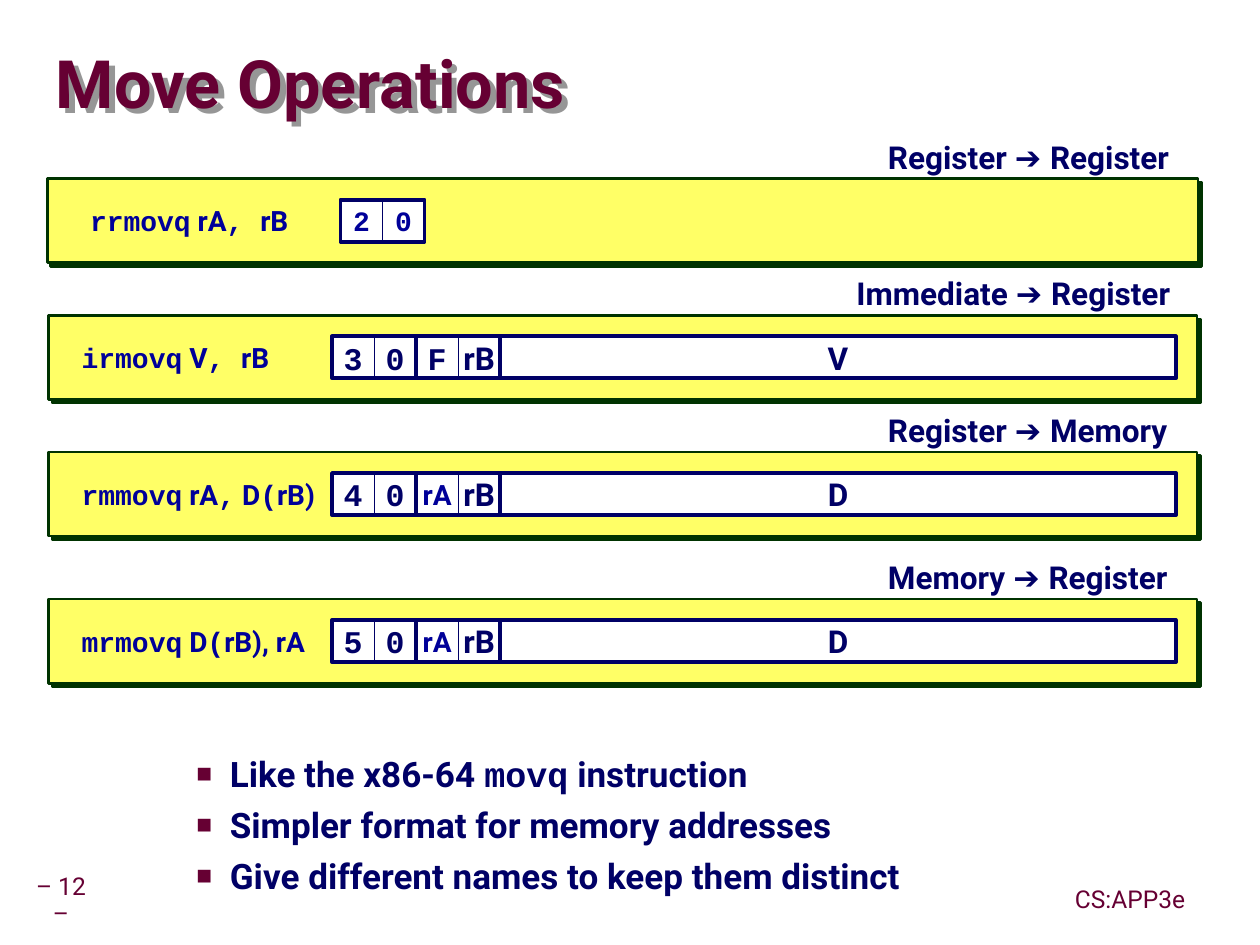
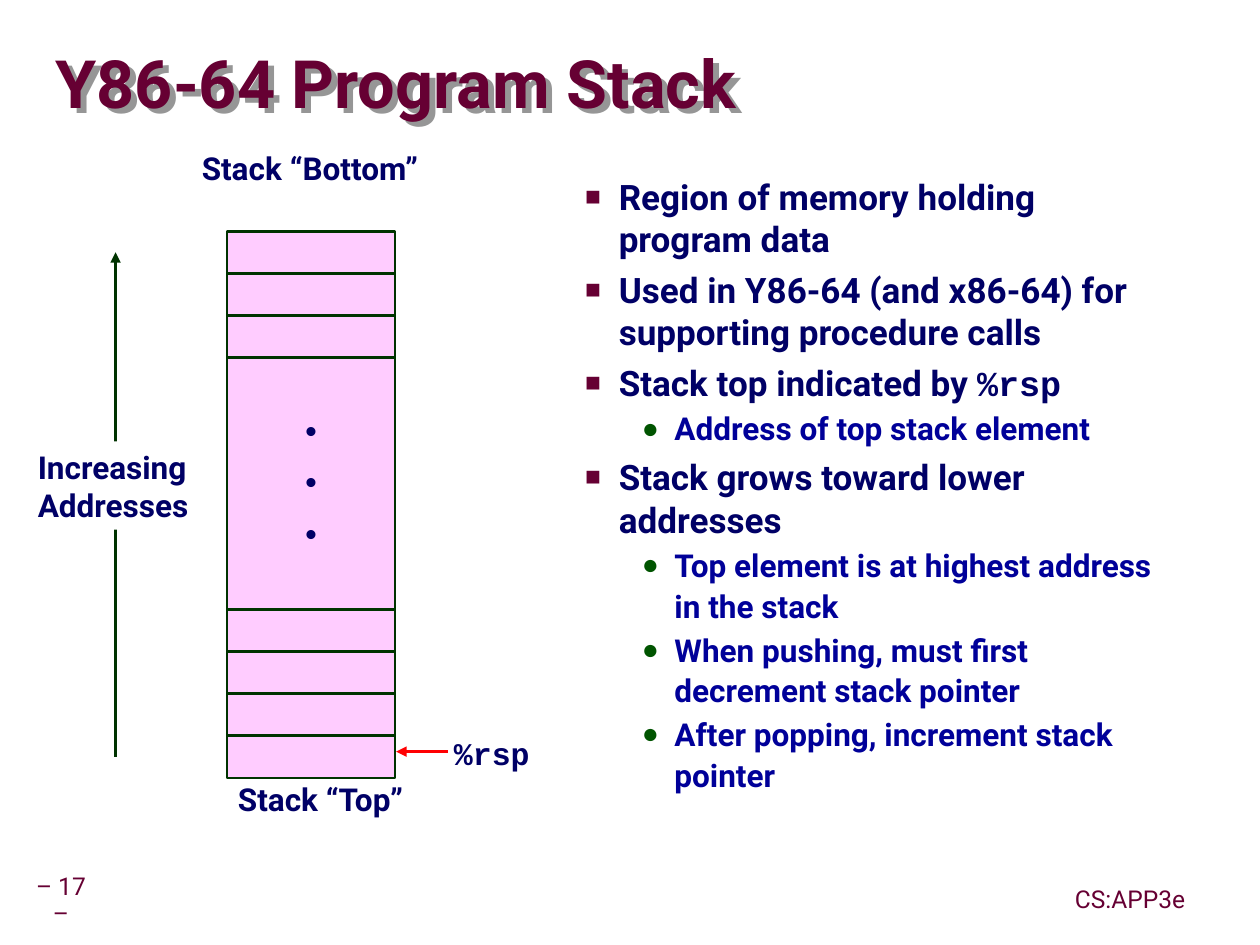
from dataclasses import dataclass

from lxml.etree import SubElement
from pptx import Presentation
from pptx.dml.color import RGBColor as RGB
from pptx.enum.shapes import MSO_CONNECTOR as CONNECTOR, MSO_SHAPE as SHAPE
from pptx.enum.text import MSO_ANCHOR as ANCHOR, MSO_AUTO_SIZE as AUTO, PP_ALIGN as ALIGN
from pptx.oxml.ns import qn
from pptx.util import Emu, Pt

PX = 7620


@dataclass(frozen=True)
class Theme:
    sans: str = "Roboto"
    mono: str = "Courier New"
    symbol: str = "Arial"
    maroon: str = "660033"
    navy: str = "000066"
    blue: str = "000099"
    green: str = "003300"
    bullet_green: str = "005400"
    yellow: str = "FFFF66"
    pink: str = "FFCCFF"
    white: str = "FFFFFF"
    red: str = "FF0002"
    grey: str = "969696"
    title: int = 38
    body: int = 20
    label: int = 18
    code: int = 16
    footer: int = 14


T = Theme()

BULLETS = {
    1: dict(mark="■", mark_color=T.maroon, mark_size=75, left=97, hang=32,
            size=T.body, color=T.navy, before=5, spacing=1.0),
    2: dict(mark="●", mark_color=T.bullet_green, mark_size=90, left=150, hang=31,
            size=T.label, color=T.blue, before=2, spacing=1.07),
}


def px(*lengths):
    return [Emu(n * PX) for n in lengths]


def write(p, text, size, color, bold=True, alt=T.mono):
    for i, part in enumerate(text.split("`")):
        if part:
            r = p.add_run()
            r.text = part
            r.font.name = alt if i % 2 else T.sans
            r.font.size = Pt(size)
            r.font.bold = bold
            r.font.color.rgb = RGB.from_string(color)


def set_frame(sp, inset=6, anchor=ANCHOR.TOP, wrap=True):
    tf = sp.text_frame
    tf.auto_size = AUTO.NONE
    tf.word_wrap = wrap
    tf.vertical_anchor = anchor
    tf.margin_left = tf.margin_top = tf.margin_right = tf.margin_bottom = Emu(inset * PX)
    return tf


def add_text(slide, box, text, size=T.label, color=T.navy, align=ALIGN.LEFT,
             spacing=0.9, anchor=ANCHOR.TOP, bold=True, alt=T.mono):
    tf = set_frame(slide.shapes.add_textbox(*px(*box)), anchor=anchor)
    p = tf.paragraphs[0]
    p.alignment = align
    p.line_spacing = spacing
    write(p, text, size, color, bold, alt)
    return tf


def add_rect(slide, box, fill=None, line=None, width=1.5):
    sp = slide.shapes.add_shape(SHAPE.RECTANGLE, *px(*box))
    sp.shadow.inherit = False
    if fill:
        sp.fill.solid()
        sp.fill.fore_color.rgb = RGB.from_string(fill)
    else:
        sp.fill.background()
    if line:
        sp.line.color.rgb = RGB.from_string(line)
        sp.line.width = Pt(width)
    else:
        sp.line.fill.background()
    return sp


def add_shadow(sp, color, distance):
    sp.shadow.inherit = False
    effects = sp._element.spPr.find(qn("a:effectLst"))
    shadow = SubElement(effects, qn("a:outerShdw"), blurRad="0", dist=str(Pt(distance)),
                        dir="2700000", algn="ctr", rotWithShape="0")
    SubElement(shadow, qn("a:srgbClr"), val=color)


def add_arrow(slide, x1, y1, x2, y2, color):
    line = slide.shapes.add_connector(CONNECTOR.STRAIGHT, *px(x1, y1, x2, y2))
    line.line.color.rgb = RGB.from_string(color)
    line.line.width = Pt(1.5)
    SubElement(line.line._get_or_add_ln(), qn("a:tailEnd"), type="triangle", w="med", len="med")
    SubElement(line._element.spPr, qn("a:effectLst"))


def add_bullets(slide, box, items):
    tf = set_frame(slide.shapes.add_textbox(*px(*box)))
    tf.margin_left = tf.margin_right = Emu(12 * PX)
    for i, (level, text) in enumerate(items):
        style = BULLETS[level]
        p = tf.add_paragraph() if i else tf.paragraphs[0]
        p.line_spacing = style["spacing"]
        if i:
            p.space_before = Pt(style["before"])
        pPr = p._p.get_or_add_pPr()
        pPr.set("marL", str(style["left"] * PX))
        pPr.set("indent", str(-style["hang"] * PX))
        color = SubElement(pPr, qn("a:buClr"))
        SubElement(color, qn("a:srgbClr"), val=style["mark_color"])
        SubElement(pPr, qn("a:buSzPct"), val=str(style["mark_size"] * 1000))
        SubElement(pPr, qn("a:buFont"), typeface=T.symbol)
        SubElement(pPr, qn("a:buChar"), char=style["mark"])
        write(p, text, style["size"], style["color"])


def add_slide(prs, title, number):
    slide = prs.slides.add_slide(prs.slide_layouts[5])
    sp = slide.shapes.title
    sp.left, sp.top, sp.width, sp.height = px(53, 32, 1142, 102)
    p = set_frame(sp, 0, ANCHOR.MIDDLE).paragraphs[0]
    p.alignment = ALIGN.LEFT
    p.line_spacing = 0.87
    write(p, title, T.title, T.maroon)
    add_shadow(sp, T.grey, 4.8)
    for box, text in (((26, 838, 64, 38), f"– {number} –"), ((1013, 838, 125, 38), "CS:APP3e")):
        add_text(slide, box, text, T.footer, T.maroon, ALIGN.CENTER,
                 anchor=ANCHOR.MIDDLE, bold=False)
    return slide


def add_field(slide, box, text, size, color, width):
    sp = add_rect(slide, box, T.white, T.navy, width)
    p = set_frame(sp, 0, ANCHOR.MIDDLE, False).paragraphs[0]
    p.alignment = ALIGN.CENTER
    write(p, text, size, color)


def add_encoding(slide, x, y, fields, operand, small):
    side = 40
    for i, field in enumerate(fields):
        minor = small or field == "rA"
        size, color = (T.code, T.blue) if minor else (T.label, T.navy)
        add_field(slide, (x + i * side, y, side, side), field, size, color, 0.5)
    for i in range(0, len(fields), 2):
        add_rect(slide, (x + i * side, y, 2 * side, side), line=T.navy, width=2.25)
    if operand:
        add_field(slide, (x + len(fields) * side, y, 643, side), operand,
                  T.label, T.navy, 2.25)


def add_instruction(slide, box, label, label_x, code, fields, operand="", shift=0):
    x, y, w, h = box
    add_shadow(add_rect(slide, box, T.yellow, T.green), T.green, 2.8)
    add_text(slide, (x + label_x, y - 41, 333, 46), label, alt=T.symbol)
    tf = add_text(slide, (x + 20 + shift, y + 20, 250, 40), code, T.code, T.blue,
                  spacing=1.0, anchor=ANCHOR.MIDDLE)
    tf.margin_left, tf.margin_right = px(12, 0)
    add_encoding(slide, x + 270 + shift, y + 20, fields, operand, bool(shift))


def build_moves(prs):
    slide = add_slide(prs, "Move Operations", 12)
    add_instruction(slide, (45, 170, 1095, 80), "Register `➔ `Register", 794,
                    "`rrmovq` rA`, `rB", ["`2", "`0"], shift=9)
    rows = [
        (300, "Immediate `➔ `Register", 763, "`irmovq` V`, `rB", ["`3", "`0", "`F", "rB"], "V"),
        (430, "Register `➔ `Memory", 793, "`rmmovq` rA`,` D`(`rB)", ["`4", "`0", "rA", "rB"], "D"),
        (570, "Memory `➔ `Register", 793, "`mrmovq` D`(`rB), rA", ["`5", "`0", "rA", "rB"], "D"),
    ]
    for y, *row in rows:
        add_instruction(slide, (46, y, 1093, 80), *row)
    add_bullets(slide, (110, 710, 1010, 166), [
        (1, "Like the x86-64 `movq` instruction"),
        (1, "Simpler format for memory addresses"),
        (1, "Give different names to keep them distinct"),
    ])


def add_stack(slide, x, y, w):
    row, gap = 40, 240
    above = [y + i * row for i in range(3)]
    middle = y + 3 * row
    below = [middle + gap + i * row for i in range(4)]
    for top in above + below:
        add_rect(slide, (x, top, w, row), T.pink, T.green)
    tf = set_frame(add_rect(slide, (x, middle, w, gap), T.pink, T.green), anchor=ANCHOR.MIDDLE)
    for i in range(3):
        p = tf.add_paragraph() if i else tf.paragraphs[0]
        p.alignment = ALIGN.CENTER
        p.line_spacing = 0.9
        if i:
            p.space_before = Pt(10)
        write(p, "`•", T.label, T.navy)
    bottom = below[-1] + row
    add_text(slide, (x - 36, y - 80, 230, 77), "Stack “Bottom”", align=ALIGN.CENTER)
    add_text(slide, (x - 26, bottom, 230, 44), "Stack “Top”", align=ALIGN.CENTER)
    add_arrow(slide, x + w + 50, bottom - 25, x + w + 1, bottom - 25, T.red)
    add_text(slide, (x + w + 50, bottom - 44, 90, 46), "`%rsp")


def add_address_axis(slide, x, y, w, h):
    add_arrow(slide, x + 80, y + h, x + 80, y, T.green)
    tf = set_frame(add_rect(slide, (x, y + 180, w, 84), T.white))
    for i, word in enumerate(("Increasing", "Addresses")):
        p = tf.add_paragraph() if i else tf.paragraphs[0]
        p.alignment = ALIGN.LEFT
        write(p, word, T.label, T.navy)


def build_stack(prs):
    slide = add_slide(prs, "Y86-64 Program Stack", 17)
    add_bullets(slide, (480, 161, 647, 684), [
        (1, "Region of memory holding program data"),
        (1, "Used in Y86-64 (and x86-64) for supporting procedure calls"),
        (1, "Stack top indicated by `%rsp"),
        (2, "Address of top stack element"),
        (1, "Stack grows toward lower addresses"),
        (2, "Top element is at highest address in the stack"),
        (2, "When pushing, must first decrement stack pointer"),
        (2, "After popping, increment stack pointer"),
    ])
    add_stack(slide, 216, 220, 160)
    add_address_axis(slide, 30, 240, 180, 480)


def main():
    prs = Presentation()
    prs.slide_width, prs.slide_height = px(1199, 899)
    build_moves(prs)
    build_stack(prs)
    prs.save("out.pptx")


if __name__ == "__main__":
    main()
